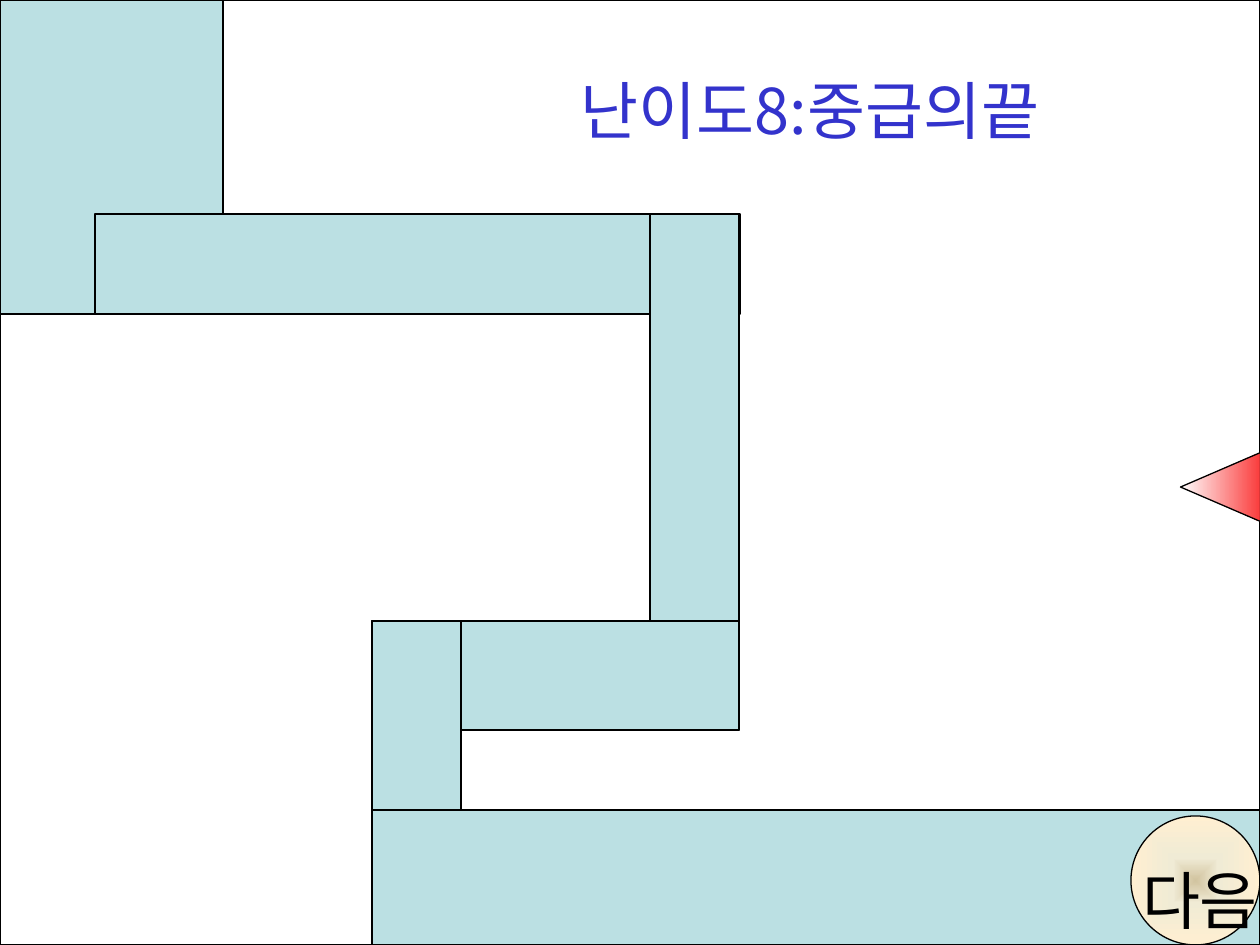
"""Builds a maze game slide with a winding path, a spike and a next button."""
from lxml import etree
from pptx import Presentation, util as u
from pptx.dml.color import RGBColor
from pptx.enum import shapes, text
from pptx.oxml.ns import qn

PX = 914400 // 126
FONT = "Noto Sans CJK KR"
HEX = dict(white="FFFFFF", path="BBE0E3", black="000000", blue="3333CC",
           red="FA3C3C", tan="D1C39F", sand="F0EBD5", cream="FFEFD1")
KIND = shapes.MSO_SHAPE

WALLS = [
    (0, 0, 1260, 945, "white"),
    (0, 0, 223, 314, "path"),
    (95, 214, 645, 100, "path"),
    (650, 214, 89, 516, "path"),
    (372, 621, 367, 109, "path"),
    (372, 621, 89, 268, "path"),
    (372, 810, 888, 135, "path"),
]
BUTTON = (1131, 816, 129, 129)
SPIKE = (1186, 447, 69, 80)
LABELS = [
    ("다음", (1140, 862, 120, 83), "black"),
    ("난이도8:중급의끝", (510, 72, 600, 91), "blue"),
]


def color(name):
    return RGBColor.from_string(HEX[name])


def draw(kind, box):
    shape = slide.shapes.add_shape(kind, *(n * PX for n in box))
    shape.shadow.inherit = False
    shape.line.color.rgb = color("black")
    shape.line.width = u.Pt(0.75)
    return shape


def blend(shape, stops, radial=False):
    shape.fill.gradient()
    grad = shape._element.spPr.find(qn("a:gradFill"))
    for child in list(grad):
        grad.remove(child)
    items = etree.SubElement(grad, qn("a:gsLst"))
    for pos, name in stops:
        stop = etree.SubElement(items, qn("a:gs"), pos=str(pos * 1000))
        etree.SubElement(stop, qn("a:srgbClr"), val=HEX[name])
    if radial:
        way = etree.SubElement(grad, qn("a:path"))
        way.set("path", "shape")
        etree.SubElement(way, qn("a:fillToRect"), dict.fromkeys("ltrb", "50000"))
    else:
        etree.SubElement(grad, qn("a:lin"), ang="5400000", scaled="1")


def label(words, box, name):
    frame = slide.shapes.add_textbox(*(n * PX for n in box)).text_frame
    frame.margin_left = frame.margin_right = frame.margin_top = frame.margin_bottom = 0
    frame.word_wrap = False
    frame.text = words
    line = frame.paragraphs[0]
    line.alignment = text.PP_ALIGN.CENTER
    run = line.runs[0]
    run.font.size = u.Pt(36)
    run.font.name = FONT
    run.font.color.rgb = color(name)
    etree.SubElement(run._r.get_or_add_rPr(), qn("a:ea"), typeface=FONT)


deck = Presentation()
deck.slide_width, deck.slide_height = 1260 * PX, 945 * PX
slide = deck.slides.add_slide(deck.slide_layouts[6])

for *box, name in WALLS:
    wall = draw(KIND.RECTANGLE, box)
    wall.fill.solid()
    wall.fill.fore_color.rgb = color(name)

button = draw(KIND.OVAL, BUTTON)
blend(button, [(0, "tan"), (35, "sand"), (100, "cream")], radial=True)
spike = draw(KIND.ISOSCELES_TRIANGLE, SPIKE)
spike.rotation = 270
blend(spike, [(0, "white"), (100, "red")])

for item in LABELS:
    label(*item)

deck.save("out.pptx")
